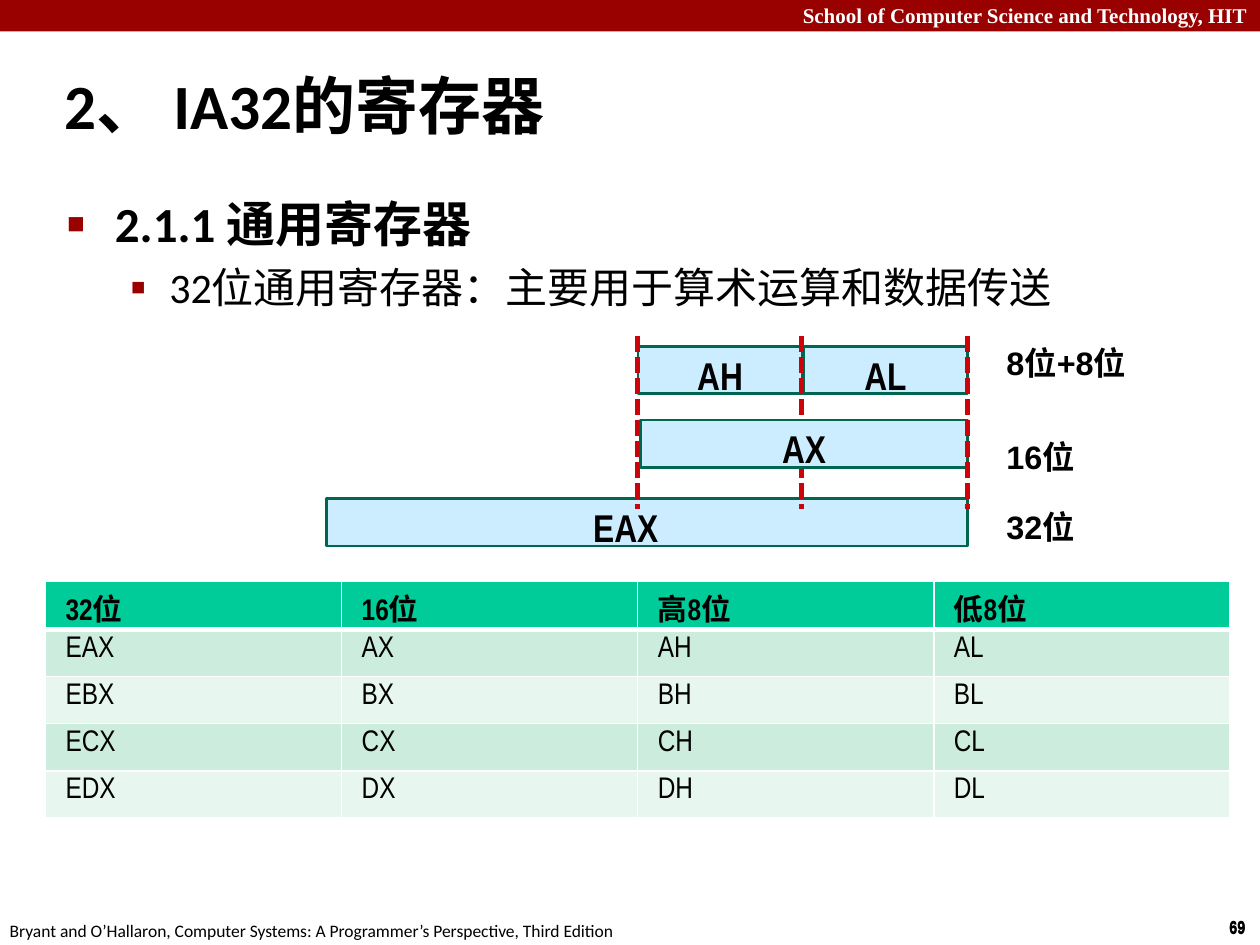
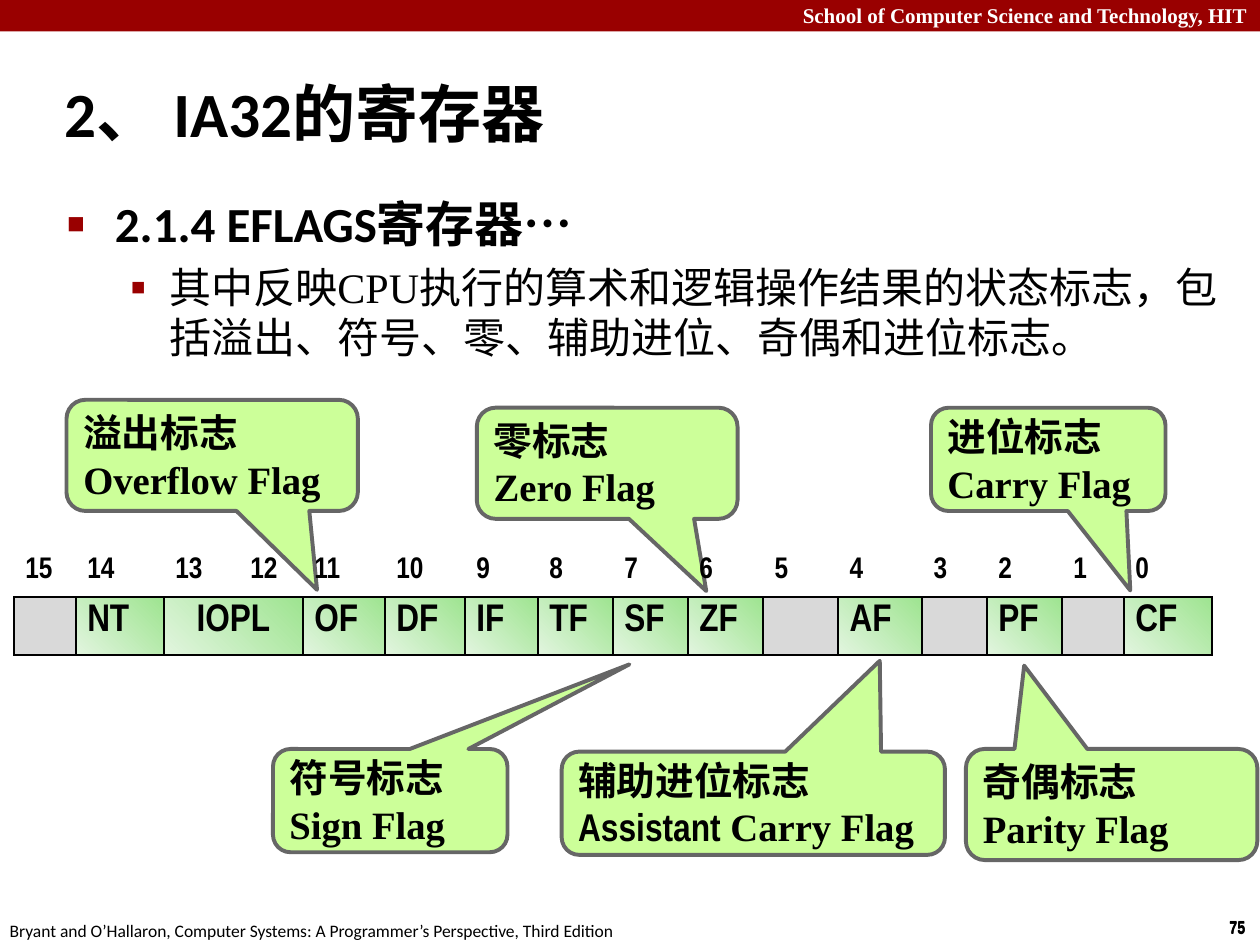
from dataclasses import dataclass
from typing import NamedTuple

from lxml.etree import SubElement as Sub
from pptx import Presentation
from pptx.dml.color import RGBColor as Rgb
from pptx.enum.dml import MSO_LINE as Dash
from pptx.enum.shapes import MSO_CONNECTOR as Link, MSO_SHAPE as Kind
from pptx.enum.text import MSO_ANCHOR as Anchor, MSO_AUTO_SIZE as Fit, PP_ALIGN as Align
from pptx.oxml.ns import qn
from pptx.util import Pt


@dataclass(frozen=True)
class Theme:
    # Colours
    band: str = "990000"
    ink: str = "000000"
    white: str = "FFFFFF"
    box: str = "CCECFF"
    edge: str = "00664D"
    guide: str = "CC0409"
    head: str = "00CC99"
    odd: str = "CCECDE"
    even: str = "E7F6EF"
    note: str = "CCFF99"
    rim: str = "666666"
    blank: str = "D9D9D9"
    deep: str = "9EE490"
    pale: str = "E2F5DF"
    # Fonts
    sans: str = "Calibri"
    slim: str = "Arial Narrow"
    serif: str = "Times New Roman"
    plain: str = "Arial"
    # Type sizes
    title: float = 36
    topic: float = 28
    point: float = 24
    label: float = 22.1
    flag: float = 22
    width: float = 18.5
    cell: float = 17
    school: float = 12
    foot: float = 10


T = Theme()


class Area(NamedTuple):
    x: float
    y: float
    w: float
    h: float


class Words(NamedTuple):
    text: str
    size: float
    face: str
    bold: bool = True
    color: str = T.ink


class Inset(NamedTuple):
    left: float = 7.2
    top: float = 3.6
    right: float = 7.2
    foot: float = 3.6


class Block(NamedTuple):
    name: str
    area: Area
    left: float = 6.5
    align: Align = Align.CENTER


class Note(NamedTuple):
    area: Area
    tip: tuple[float, float]
    name: str
    runs: tuple[Words, ...]


class Bullet(NamedTuple):
    mark: str
    scale: int
    margin: float
    hang: float
    before: float


MARKS = (Bullet("■", 60, 27.4, 27.4, 5.6), Bullet("▪", 110, 58.5, 22.5, 4.8))


# Text and shape helpers
def places(area: tuple[float, ...]) -> list[Pt]:
    return [Pt(v) for v in area]


def add_run(para, words: Words) -> None:
    run = para.add_run()
    run.text = words.text
    font = run.font
    font.size, font.name, font.bold = Pt(words.size), words.face, words.bold
    font.color.rgb = Rgb.from_string(words.color)


def write(frame, lines, align=Align.LEFT, inset=Inset(), anchor=Anchor.TOP, wrap=True) -> None:
    frame.auto_size, frame.word_wrap = Fit.NONE, wrap
    frame.vertical_anchor = anchor
    frame.margin_left, frame.margin_top, frame.margin_right, frame.margin_bottom = places(inset)
    for i, runs in enumerate(lines):
        para = frame.paragraphs[0] if i == 0 else frame.add_paragraph()
        para.alignment = align
        for words in runs:
            add_run(para, words)


def add_text(slide, area: Area, words: Words, align=Align.LEFT, wrap=True) -> None:
    box = slide.shapes.add_textbox(*places(area))
    write(box.text_frame, [[words]], align, wrap=wrap)


def add_box(slide, kind: Kind, area: Area, fill: str, edge: str = "", weight: float = 0):
    shape = slide.shapes.add_shape(kind, *places(area))
    shape.shadow.inherit = False
    shape.fill.solid()
    shape.fill.fore_color.rgb = Rgb.from_string(fill)
    if edge:
        shape.line.color.rgb = Rgb.from_string(edge)
        shape.line.width = Pt(weight)
    else:
        shape.line.fill.background()
    return shape


def add_mark(para, style: Bullet) -> None:
    para.space_before = Pt(style.before)
    props = para._p.get_or_add_pPr()
    props.set("marL", str(Pt(style.margin)))
    props.set("indent", str(-Pt(style.hang)))
    Sub(Sub(props, qn("a:buClr")), qn("a:srgbClr"), val=T.band)
    Sub(props, qn("a:buSzPct"), val=str(style.scale * 1000))
    Sub(props, qn("a:buFont"), typeface=T.plain)
    Sub(props, qn("a:buChar"), char=style.mark)


def add_guide(slide, x: float, top: float, foot: float) -> None:
    line = slide.shapes.add_connector(Link.STRAIGHT, Pt(x), Pt(top), Pt(x), Pt(foot))
    line.line.color.rgb = Rgb.from_string(T.guide)
    line.line.width = Pt(3)
    line.line.dash_style = Dash.SQUARE_DOT
    Sub(line._element.spPr, qn("a:effectLst"))


# Table helpers
def add_table(slide, area: Area, cols: list[float], rows: list[float]):
    table = slide.shapes.add_table(len(rows), len(cols), *places(area)).table
    table.first_row = table.horz_banding = False
    style = table._tbl.tblPr.find(qn("a:tableStyleId"))
    style.text = "{2D5ABB26-0587-4C30-8999-92F81FD0307C}"
    for col, width in zip(table.columns, cols):
        col.width = Pt(width)
    for row, height in zip(table.rows, rows):
        row.height = Pt(height)
    return table


def set_cell(cell, words: Words, inset: Inset, align=Align.LEFT) -> None:
    cell.margin_left, cell.margin_top, cell.margin_right, cell.margin_bottom = places(inset)
    para = cell.text_frame.paragraphs[0]
    para.alignment = align
    if words.text:
        add_run(para, words)


def paint(cell, color: str) -> None:
    cell.fill.solid()
    cell.fill.fore_color.rgb = Rgb.from_string(color)


def shade(cell) -> None:
    cell.fill.gradient()
    cell.fill.gradient_angle = 225
    for stop, color in zip(cell.fill.gradient_stops, (T.deep, T.pale)):
        stop.color.rgb = Rgb.from_string(color)


def rule(cell, color: str, **sides: float) -> None:
    props = cell._tc.get_or_add_tcPr()
    for i, (side, weight) in enumerate(sides.items()):
        line = Sub(props, qn(f"a:ln{side}"), w=str(Pt(weight)))
        Sub(Sub(line, qn("a:solidFill")), qn("a:srgbClr"), val=color)
        props.insert(i, line)


# Parts shared by both slides
def start(deck, number: int, anchor: Anchor, topic: str, point: Words):
    slide = deck.slides.add_slide(deck.slide_layouts[5])
    add_box(slide, Kind.RECTANGLE, Area(0, 0, 720, 18), T.band)
    add_text(slide, Area(0, -2, 720, 21.6),
             Words("School of Computer Science and Technology, HIT", T.school, T.serif, color=T.white),
             Align.RIGHT)
    for y in (520.5, 520):
        add_text(slide, Area(695.5, y, 24.5, 19.5), Words(str(number), T.foot, T.slim), wrap=False)
    add_text(slide, Area(-1.5, 522, 366, 19.5),
             Words("Bryant and O’Hallaron, Computer Systems: A Programmer’s Perspective, Third Edition",
                   T.foot, T.sans, False), wrap=False)
    title = slide.shapes.title
    title.left, title.top, title.width, title.height = places(Area(29.5, 29.5, 690, 60))
    write(title.text_frame, [[Words("2、 IA32的寄存器", T.title, T.sans)]], anchor=anchor)
    body = slide.shapes.add_textbox(*places(Area(31.2, 107.3, 677, 414.7))).text_frame
    write(body, [[Words(topic, T.topic, T.sans)], [point]])
    for para, style in zip(body.paragraphs, MARKS):
        add_mark(para, style)
    return slide


# Slide 1: general registers
def add_block(slide, block: Block) -> None:
    shape = add_box(slide, Kind.RECTANGLE, block.area, T.box, T.edge, 1.5)
    write(shape.text_frame, [[Words(block.name, T.label, T.slim)]], block.align,
          Inset(block.left, 3, 6.5, 3))


def general(deck) -> None:
    slide = start(deck, 69, Anchor.MIDDLE, "2.1.1 通用寄存器",
                  Words("32位通用寄存器：主要用于算术运算和数据传送", T.point, T.sans, False))
    for block in (Block("EAX", Area(186.5, 285, 366.5, 27), 152.5, Align.LEFT),
                  Block("AH", Area(364.5, 198, 94, 27)),
                  Block("AL", Area(459, 198, 94, 27))):
        add_block(slide, block)
    guides = (364.5, 458, 553)
    for x in guides[:2]:
        add_guide(slide, x, 192, 291)
    for text, y in (("8位+8位", 192.5), ("16位", 246), ("32位", 286.5)):
        add_text(slide, Area(568, y, 123, 29.5), Words(text, T.width, T.plain))
    add_block(slide, Block("AX", Area(366, 240, 187, 27)))
    add_guide(slide, guides[2], 192, 291)

    # Register names by width
    rows = [("32位", "16位", "高8位", "低8位")]
    rows += [(f"E{c}X", f"{c}X", f"{c}H", f"{c}L") for c in "ABCD"]
    table = add_table(slide, Area(26, 332.2, 676.8, 135), [169.2] * 4, [27] * 5)
    for r, names in enumerate(rows):
        inset = Inset(11.5, 2.6, 11.5, 0) if r == 0 else Inset(11.5, 3.6, 11.5, 3.6)
        for c, name in enumerate(names):
            cell = table.cell(r, c)
            set_cell(cell, Words(name, T.cell, T.slim, r == 0), inset)
            paint(cell, T.head if r == 0 else T.odd if r % 2 else T.even)
            rule(cell, T.white, L=1, R=1, T=3 if r == 1 else 1, B=3 if r == 0 else 1)


# Slide 2: status flags
def english(text: str) -> Words:
    return Words(text, T.label, T.serif)


NOTES = (
    Note(Area(532, 233, 134, 59), (0.35, 1.27), "进位标志", (english("Carry Flag"),)),
    Note(Area(156, 428, 134, 59), (1.02, -1.32), "符号标志", (english("Sign Flag"),)),
    Note(Area(321, 429.5, 219, 59), (0.33, -1.38), "辅助进位标志",
         (Words("Assistant", T.label, T.slim), english(" Carry Flag"))),
    Note(Area(38, 228.5, 166.5, 63.5), (0.36, 1.21), "溢出标志", (english("Overflow Flag"),)),
    Note(Area(272.5, 233, 149, 63.5), (0.38, 1.15), "零标志", (english("Zero Flag"),)),
    Note(Area(552, 428, 166.5, 63.5), (-0.3, -1.25), "奇偶标志", (english("Parity Flag"),)),
)
FLAGS = ("", "NT", "IOPL", "", "OF", "DF", "IF", "TF", "SF", "ZF", "", "AF", "", "PF", "", "CF")
WIDTHS = [35.4, 50.3, 42.9, 36.6, 46.9, 45.7, 41.7, *[42.9] * 4, 48, 37.1, 42.9, 35.4, 50.3]


def add_note(slide, note: Note) -> None:
    shape = add_box(slide, Kind.ROUNDED_RECTANGULAR_CALLOUT, note.area, T.note, T.rim, 2.25)
    for i, value in enumerate((*note.tip, 0.17)):
        shape.adjustments[i] = value
    write(shape.text_frame, [[Words(note.name, T.label, T.slim)], note.runs],
          inset=Inset(6.5, 3, 6.5, 3), anchor=Anchor.MIDDLE)


def status(deck) -> None:
    slide = start(deck, 75, Anchor.BOTTOM, "2.1.4 EFLAGS寄存器…",
                  Words("其中反映CPU执行的算术和逻辑操作结果的状态标志，包括溢出、符号、零、辅助进位、奇偶和进位标志。",
                        T.point, T.serif, False))
    for note in NOTES:
        add_note(slide, note)

    # Bit numbers above the flags
    table = add_table(slide, Area(8, 314.5, sum(WIDTHS), 59.8), WIDTHS, [26.7, 33.1])
    wide = FLAGS.index("IOPL")
    table.cell(1, wide).merge(table.cell(1, wide + 1))
    near = Inset(6.5, 3.6, 6.5, 3.6)
    for c, flag in enumerate(FLAGS):
        top, low = table.cell(0, c), table.cell(1, c)
        set_cell(top, Words(str(15 - c), T.cell, T.slim), near)
        top.fill.background()
        rule(top, T.ink, B=1)
        words = Words(flag, T.flag, T.slim)
        if c == wide:
            set_cell(low, words, Inset(0, 3.6, 0, 3.6), Align.CENTER)
        else:
            set_cell(low, words, near)
        if flag:
            shade(low)
        else:
            paint(low, T.blank)
        rule(low, T.ink, L=1, R=1, T=1, B=1)


def main() -> None:
    deck = Presentation()
    deck.slide_width, deck.slide_height = Pt(720), Pt(540)
    general(deck)
    status(deck)
    deck.save("out.pptx")


if __name__ == "__main__":
    main()
